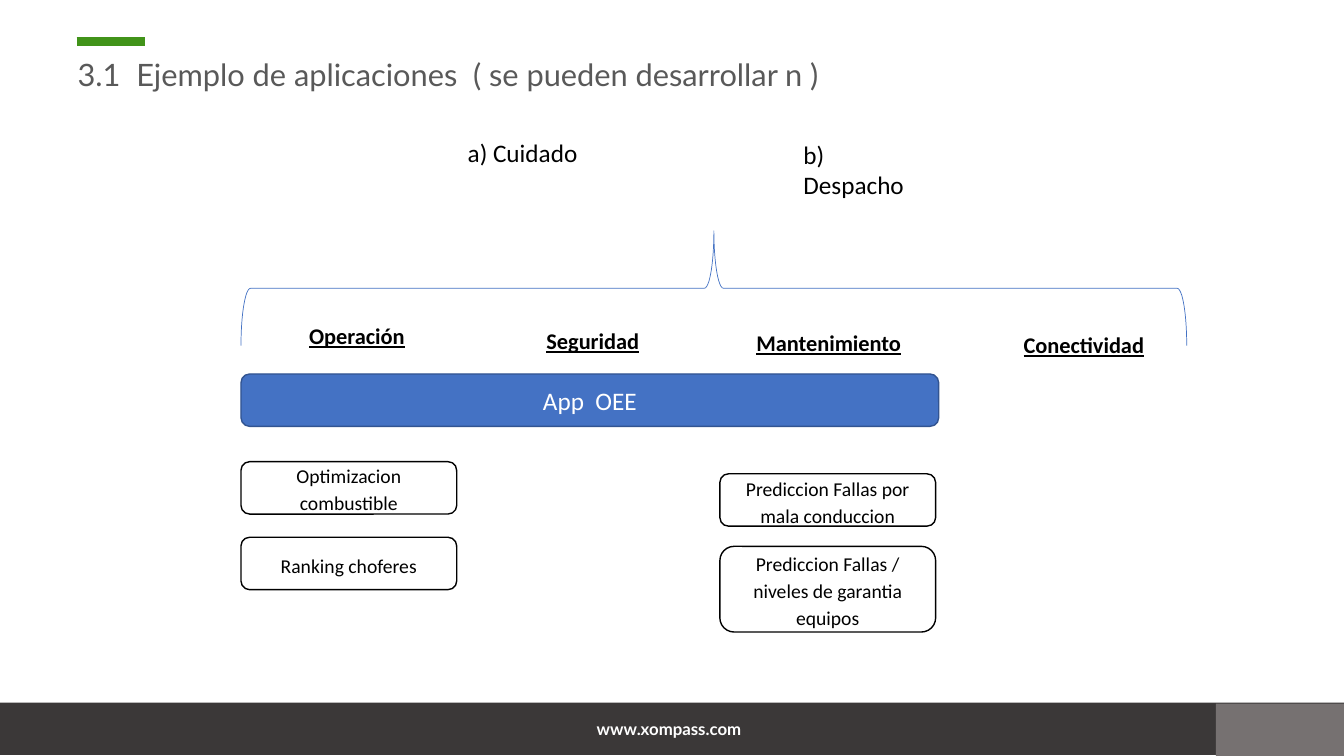
from pptx import Presentation
from pptx.dml.color import RGBColor
from pptx.enum.shapes import MSO_CONNECTOR as Connector, MSO_SHAPE as Shape
from pptx.enum.text import MSO_ANCHOR as Anchor, MSO_AUTO_SIZE as AutoSize, PP_ALIGN as Align
from pptx.oxml.ns import qn
from pptx.util import Inches, Pt

GREEN, BLUE, DARK_BLUE = "419319", "4472C4", "325491"
CHARCOAL, GRAY, TITLE_GRAY = "3B3838", "767171", "595959"
BLACK, WHITE = "000000", "FFFFFF"
COLUMN_WIDTH, BOX_HEIGHT = 2.14, 0.52


def color(hex_string):
    return RGBColor.from_string(hex_string)


def write(shape, text, size, font_color, font="Calibri", bold=False, underline=False,
          align=Align.CENTER, anchor=Anchor.TOP, wrap=True, spacing=None, after=None):
    frame = shape.text_frame
    frame.word_wrap = wrap
    frame.auto_size = AutoSize.NONE if wrap else AutoSize.SHAPE_TO_FIT_TEXT
    frame.vertical_anchor = anchor
    paragraph = frame.paragraphs[0]
    paragraph.alignment = align
    if spacing:
        paragraph.line_spacing = spacing
    if after:
        paragraph.space_after = Pt(after)
    run = paragraph.add_run()
    run.text = text
    run.font.name, run.font.size = font, Pt(size)
    run.font.bold, run.font.underline = bold, underline
    run.font.color.rgb = color(font_color)


def add_label(slide, box, text, size, font_color, **style):
    write(slide.shapes.add_textbox(*map(Inches, box)), text, size, font_color, **style)


def add_block(slide, kind, box, fill=None, line=None, line_width=1):
    shape = slide.shapes.add_shape(kind, *map(Inches, box))
    shape.shadow.inherit = False
    if fill:
        shape.fill.solid()
        shape.fill.fore_color.rgb = color(fill)
    else:
        shape.fill.background()
    if line:
        shape.line.color.rgb = color(line)
        shape.line.width = Pt(line_width)
    else:
        shape.line.fill.background()
    return shape


def add_header(slide, left, top, width, height):
    """Place the title with its green accent bar above it."""
    bar_left, bar_top = left + 0.09, top - 0.13
    bar = slide.shapes.add_connector(
        Connector.STRAIGHT, *map(Inches, (bar_left, bar_top, bar_left + 0.68, bar_top)))
    bar.line.color.rgb = color(GREEN)
    bar.line.width = Pt(6)
    properties = bar._element.spPr
    properties.append(properties.makeelement(qn("a:effectLst"), {}))

    title = slide.shapes.title
    title.left, title.top, title.width, title.height = map(Inches, (left, top, width, height))
    write(title, "3.1  Ejemplo de aplicaciones  ( se pueden desarrollar n )", 22, TITLE_GRAY,
          font="Lato", align=Align.LEFT, spacing=0.9)


def add_footer(slide, left, top, width, height):
    corner = 1.27
    add_block(slide, Shape.RECTANGLE, (left, top, width, height), CHARCOAL)
    add_label(slide, (left + 5.82, top + 0.11, 1.69, 0.3), "www.xompass.com", 12, WHITE,
              font="Lato", bold=True, align=Align.LEFT, wrap=False)
    add_block(slide, Shape.RECTANGLE, (left + width - corner, top + 0.01, corner, height), GRAY)


def add_sources(slide, left, top):
    for text, x, y in (("a) Cuidado", 0, 0), ("b) Despacho", 3.33, 0.02)):
        add_label(slide, (left + x, top + y, 1.42, 0.4), text, 18, BLACK,
                  align=Align.LEFT, wrap=False)


def add_areas(slide, left, top, width, height):
    """Draw the brace over the given box and the area headings under it."""
    brace = add_block(slide, Shape.LEFT_BRACE,
                      (left + (width - height) / 2, top + (height - width) / 2, height, width),
                      line=BLUE, line_width=0.5)
    brace.rotation = 90
    headings = (("Operación", 0.07, 0.82), ("Seguridad", 2.41, 0.87),
                ("Mantenimiento", 4.75, 0.89), ("Conectividad", 7.28, 0.91))
    for text, x, y in headings:
        add_label(slide, (left + x, top + y, 2.16, 0.4), text, 16, BLACK,
                  bold=True, underline=True, spacing=1.15, after=10)


def add_applications(slide, left, top):
    second_column = 4.75
    applications = (
        ("Optimizacion combustible", 0, 0.87, BOX_HEIGHT),
        ("Prediccion Fallas por mala conduccion", second_column, 0.99, BOX_HEIGHT),
        ("Ranking choferes", 0, 1.62, BOX_HEIGHT),
        ("Prediccion Fallas / niveles de garantia equipos", second_column, 1.71, 0.85),
    )
    for text, x, y, height in applications:
        shape = add_block(slide, Shape.ROUNDED_RECTANGLE,
                          (left + x, top + y, COLUMN_WIDTH, height), WHITE, BLACK)
        write(shape, text, 14, BLACK, anchor=Anchor.MIDDLE, spacing=1.15, after=10)
    shared = add_block(slide, Shape.ROUNDED_RECTANGLE, (left, top, 6.92, BOX_HEIGHT),
                       BLUE, DARK_BLUE)
    write(shared, "App  OEE", 18, WHITE, anchor=Anchor.MIDDLE)


def main():
    presentation = Presentation()
    presentation.slide_width, presentation.slide_height = Inches(13.33), Inches(7.5)
    slide = presentation.slides.add_slide(presentation.slide_layouts[5])
    add_header(slide, 0.67, 0.54, 11.83, 0.51)
    add_footer(slide, 0, 6.97, 13.33, 0.52)
    add_sources(slide, 4.54, 1.31)
    add_areas(slide, 2.39, 2.29, 9.38, 1.14)
    add_applications(slide, 2.39, 3.71)
    presentation.save("out.pptx")


if __name__ == "__main__":
    main()
